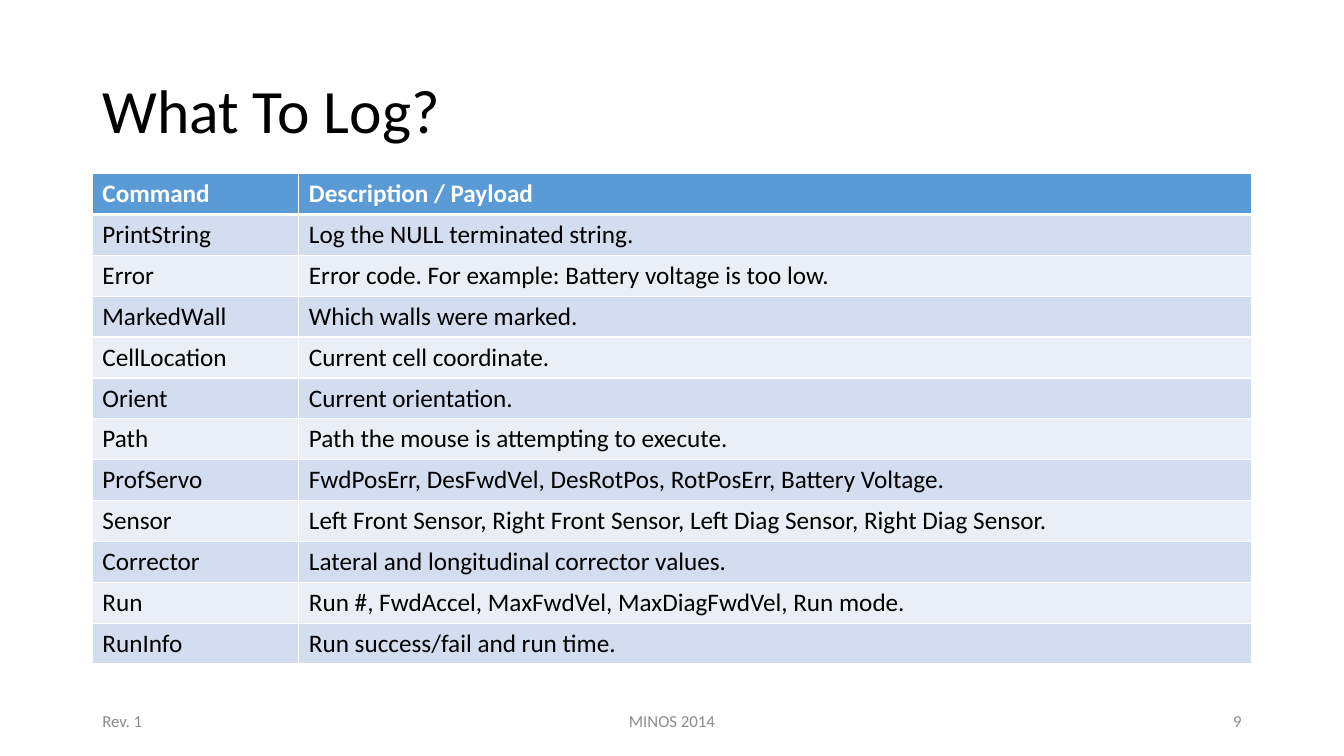
"""Build the "What To Log?" slide with its table of log commands."""
from dataclasses import dataclass

import lxml.etree
import pptx
import pptx.dml.color
import pptx.enum.text
import pptx.oxml.ns
import pptx.slide
import pptx.table
import pptx.text.text
import pptx.util

Pt = pptx.util.Pt
Align = pptx.enum.text.PP_ALIGN
Anchor = pptx.enum.text.MSO_ANCHOR

FONT = "Calibri"
COLORS = {
    "text": "000000",
    "white": "FFFFFF",
    "header": "5B9BD5",
    "odd": "D2DEEF",
    "even": "EAEFF7",
    "footer": "8C8C8C",
}
LEFT, WIDTH = 66, 828
TABLE_TOP, ROW_HEIGHT = 124, 29.2
COLUMN_WIDTHS = (147.5, 680.5)
THIN, THICK = 1, 3


@dataclass(frozen=True)
class LogCommand:
    name: str
    payload: str


@dataclass(frozen=True)
class FooterItem:
    text: str
    left: float
    width: float
    align: Align


HEADER = LogCommand("Command", "Description / Payload")
COMMANDS = (
    LogCommand("PrintString", "Log the NULL terminated string."),
    LogCommand("Error", "Error code. For example: Battery voltage is too low."),
    LogCommand("MarkedWall", "Which walls were marked."),
    LogCommand("CellLocation", "Current cell coordinate."),
    LogCommand("Orient", "Current orientation."),
    LogCommand("Path", "Path the mouse is attempting to execute."),
    LogCommand("ProfServo", "FwdPosErr, DesFwdVel, DesRotPos, RotPosErr, Battery Voltage."),
    LogCommand("Sensor", "Left Front Sensor, Right Front Sensor, Left Diag Sensor, Right Diag Sensor."),
    LogCommand("Corrector", "Lateral and longitudinal corrector values."),
    LogCommand("Run", "Run #, FwdAccel, MaxFwdVel, MaxDiagFwdVel, Run mode."),
    LogCommand("RunInfo", "Run success/fail and run time."),
)
FOOTER = (
    FooterItem("Rev. 1", LEFT, 216, Align.LEFT),
    FooterItem("MINOS 2014", 318, 324, Align.CENTER),
    FooterItem("9", 678, 216, Align.RIGHT),
)


def rgb(name: str) -> pptx.dml.color.RGBColor:
    """Return the named palette colour."""
    return pptx.dml.color.RGBColor.from_string(COLORS[name])


def write(tf: pptx.text.text.TextFrame, text: str, size: float, color: str,
          align: Align = Align.LEFT, bold: bool = False) -> None:
    """Put one formatted paragraph into a text frame."""
    tf.text = text
    p = tf.paragraphs[0]
    p.alignment = align
    p.font.name = FONT
    p.font.size = Pt(size)
    p.font.bold = bold
    p.font.color.rgb = rgb(color)


def add_border(cell: pptx.table._Cell, side: str, width: float) -> None:
    """Draw a white border on one side of a cell."""
    qn = pptx.oxml.ns.qn
    ln = lxml.etree.SubElement(cell._tc.get_or_add_tcPr(), qn(f"a:ln{side}"), w=str(Pt(width)))
    fill = lxml.etree.SubElement(ln, qn("a:solidFill"))
    lxml.etree.SubElement(fill, qn("a:srgbClr"), val=COLORS["white"])


def add_title(s: pptx.slide.Slide, text: str) -> None:
    """Place and fill the title placeholder."""
    sp = s.shapes.title
    sp.left, sp.top, sp.width, sp.height = Pt(LEFT), Pt(28.8), Pt(WIDTH), Pt(104.4)
    sp.text_frame.vertical_anchor = Anchor.MIDDLE
    write(sp.text_frame, text, 44, "text")
    sp.text_frame.paragraphs[0].line_spacing = 0.9


def add_command_table(s: pptx.slide.Slide) -> None:
    """Add the header row and the banded command rows."""
    rows = (HEADER, *COMMANDS)
    table = s.shapes.add_table(len(rows), len(COLUMN_WIDTHS), Pt(LEFT), Pt(TABLE_TOP),
                               Pt(WIDTH), Pt(ROW_HEIGHT * len(rows))).table
    for column, width in zip(table.columns, COLUMN_WIDTHS):
        column.width = Pt(width)
    for i, command in enumerate(rows):
        table.rows[i].height = Pt(ROW_HEIGHT)
        is_header = i == 0
        band = "header" if is_header else "odd" if i % 2 else "even"
        borders = {"L": THIN, "R": THIN, "T": THICK if i == 1 else THIN,
                   "B": THICK if is_header else THIN}
        for cell, text in zip(table.rows[i].cells, (command.name, command.payload)):
            for side, width in borders.items():
                add_border(cell, side, width)
            cell.fill.solid()
            cell.fill.fore_color.rgb = rgb(band)
            write(cell.text_frame, text, 18, "white" if is_header else "text", bold=is_header)


def add_footer_item(s: pptx.slide.Slide, item: FooterItem) -> None:
    """Add one footer text box."""
    sp = s.shapes.add_textbox(Pt(item.left), Pt(500.4), Pt(item.width), Pt(28.8))
    sp.text_frame.word_wrap = True
    sp.text_frame.vertical_anchor = Anchor.MIDDLE
    write(sp.text_frame, item.text, 12, "footer", item.align)


def main() -> None:
    """Build and save the presentation."""
    prs = pptx.Presentation()
    prs.slide_width, prs.slide_height = Pt(960), Pt(540)
    s = prs.slides.add_slide(prs.slide_layouts.get_by_name("Title Only"))
    add_title(s, "What To Log?")
    add_command_table(s)
    for item in FOOTER:
        add_footer_item(s, item)
    prs.save("out.pptx")


if __name__ == "__main__":
    main()
